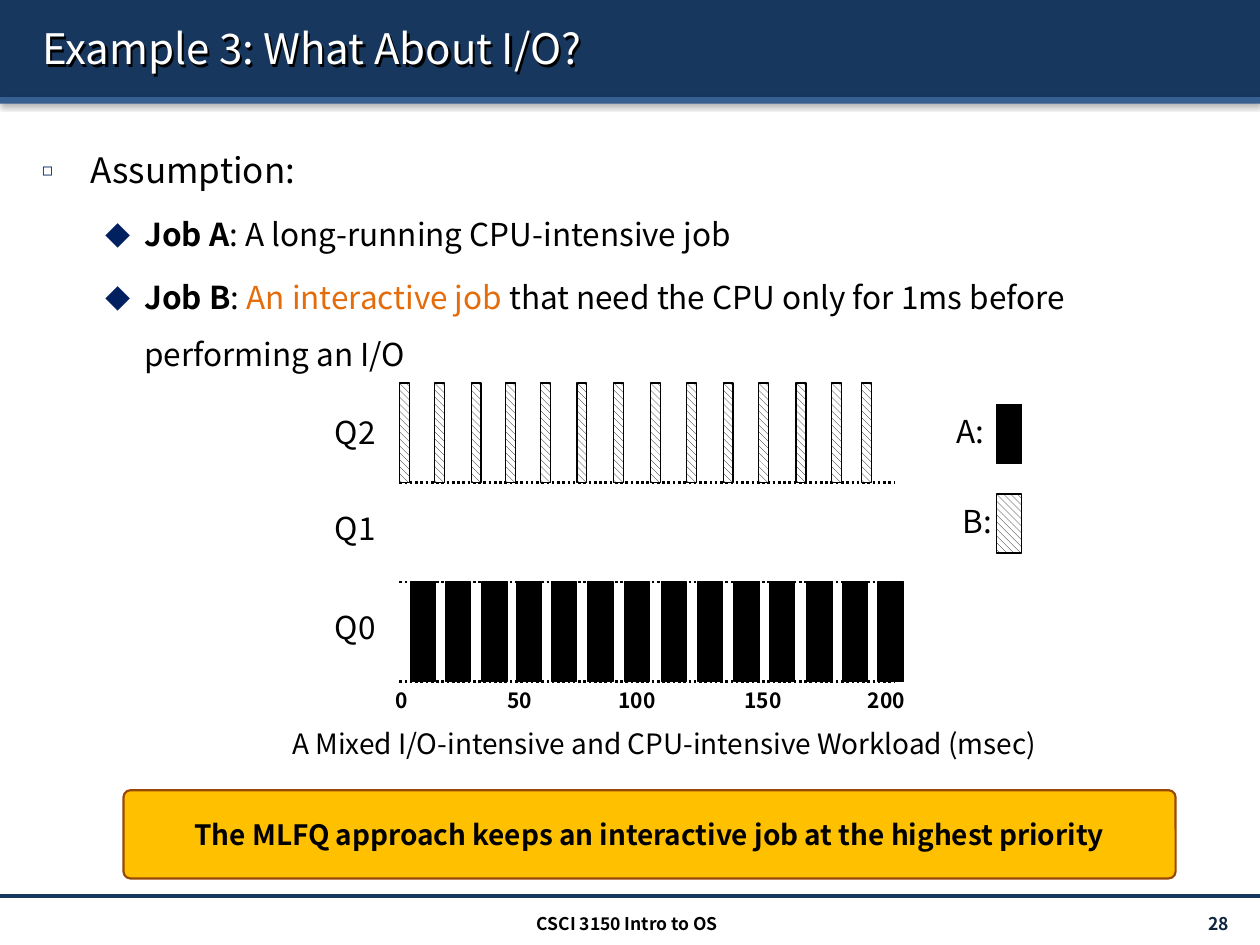
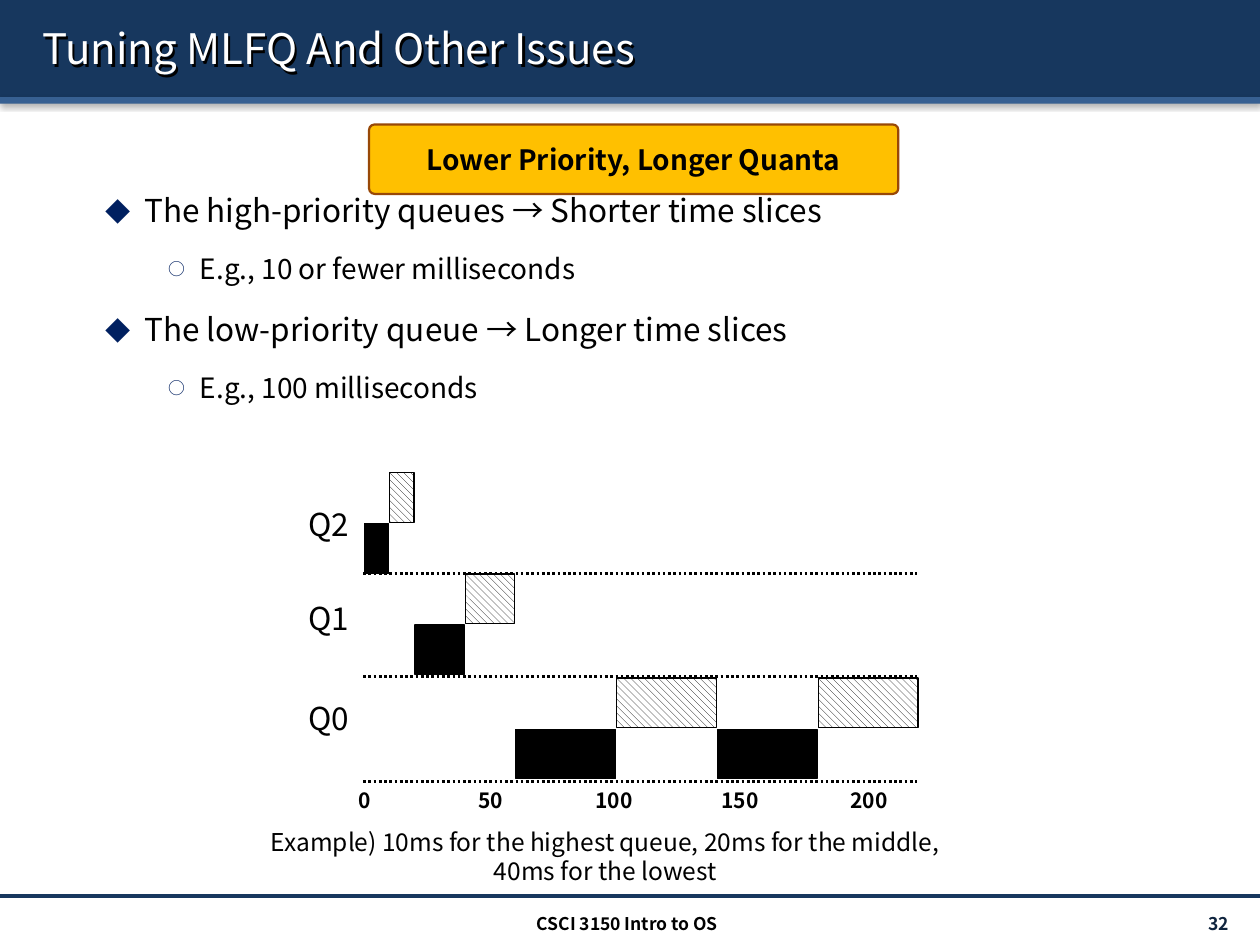
from dataclasses import dataclass

from lxml import etree
from pptx import Presentation
from pptx import util as u
from pptx.dml.color import RGBColor
from pptx.enum import dml, shapes, text
from pptx.oxml import ns


@dataclass(frozen=True)
class Theme:
    font: str = "Noto Sans CJK KR"
    navy: str = "17375E"
    blue: str = "376092"
    bullet: str = "002060"
    number: str = "0F243E"
    orange: str = "E46C0A"
    gold: str = "FFC000"
    brown: str = "984807"
    black: str = "000000"
    white: str = "FFFFFF"
    title_size: int = 24
    level_sizes: tuple = (20, 18, 16)
    label_size: int = 18
    banner_size: int = 16
    tick_size: int = 12
    footer_size: int = 10


theme = Theme()
rgb = RGBColor.from_string
align = text.PP_ALIGN
hatch = "hatch"
shadow_xml = (
    '<a:outerShdw xmlns:a="http://schemas.openxmlformats.org/drawingml/2006/main" '
    'blurRad="{}" dist="{}" dir="{}"><a:srgbClr val="000000">'
    '<a:alpha val="{}"/></a:srgbClr></a:outerShdw>'
)


def write(box, wording, size, color=theme.black, bold=False, side=align.CENTER, middle=False):
    frame = box.text_frame
    frame.text = wording
    frame.word_wrap = True
    frame.vertical_anchor = text.MSO_ANCHOR.MIDDLE if middle else text.MSO_ANCHOR.TOP
    for para in frame.paragraphs:
        para.alignment = side
        for span in para.runs:
            span.font.name = theme.font
            span.font.size = u.Pt(size)
            span.font.bold = bold
            span.font.color.rgb = rgb(color)


def add_block(page, bounds, fill, border=None, width=0.75, kind=shapes.MSO_SHAPE.RECTANGLE):
    block = page.shapes.add_shape(kind, *map(u.Cm, bounds))
    block.shadow.inherit = False
    if fill == hatch:
        block.fill.patterned()
        block.fill.pattern = dml.MSO_PATTERN.WIDE_DOWNWARD_DIAGONAL
        block.fill.fore_color.rgb = rgb(theme.black)
        block.fill.back_color.rgb = rgb(theme.white)
    else:
        block.fill.solid()
        block.fill.fore_color.rgb = rgb(fill)
    if border:
        block.line.color.rgb = rgb(border)
        block.line.width = u.Pt(width)
    else:
        block.line.fill.background()
    return block


bullets = [("◻", 50, 0.97, 0.97), ("◆", 80, 2.06, 0.79), ("○", 60, 3.18, 0.64)]
plain, strong, accent = (theme.black, False), (theme.black, True), (theme.orange, False)

mixed_b_starts = [8.05, 8.76, 9.5, 10.19, 10.9, 11.63, 12.37,
                  13.11, 13.84, 14.58, 15.29, 16.05, 16.76, 17.37]
mixed_a_starts = [start + 0.22 for start in mixed_b_starts[:-1]] + [17.7]
mixed_bars = [(start, 7.72, 0.2, 2.01, hatch) for start in mixed_b_starts]
mixed_bars += [(start, 11.73, 0.51, 2.01, theme.black) for start in mixed_a_starts]
mixed_bars += [(20.09, 8.15, 0.51, 1.19, theme.black), (20.09, 9.96, 0.51, 1.19, hatch)]

queue_tops = {"Q2": 9.53, "Q1": 11.57, "Q0": 13.67}
job_slices = [("Q2", "A", 0, 10), ("Q2", "B", 10, 10), ("Q1", "A", 20, 20), ("Q1", "B", 40, 20),
              ("Q0", "A", 60, 40), ("Q0", "B", 100, 40), ("Q0", "A", 140, 40), ("Q0", "B", 180, 40)]
cm_per_ms = 10.16 / 200
quanta_bars = [
    (7.35 + start * cm_per_ms, queue_tops[queue] + (1.03 if job == "A" else 0),
     length * cm_per_ms - 0.02, 1, theme.black if job == "A" else hatch)
    for queue, job, start, length in job_slices
]

slides = [
    dict(
        title="Example 3: What About I/O?", number="28", body_top=2.44,
        body=[
            (0, [("Assumption:", plain)]),
            (1, [("Job A", strong), (": A long-running CPU-intensive job", plain)]),
            (1, [("Job B", strong), (": ", plain), ("An interactive job ", accent),
                 ("that need the CPU only for 1ms before performing an I/O", plain)]),
        ],
        axis=(8.05, 18.04), axis_tops=[9.73, 11.73, 13.74],
        tick_centers=[8.09, 10.48, 12.84, 15.38, 17.87],
        labels=[("Q2", 6.07, 8.2), ("Q1", 6.07, 10.13), ("Q0", 6.07, 12.14),
                ("A:", 18.34, 8.18), ("B:", 18.5, 10)],
        bars=mixed_bars,
        caption="A Mixed I/O-intensive and CPU-intensive Workload (msec)",
        caption_at=(4.29, 14.53, 18.21, 0.94), caption_size=16,
        banner="The MLFQ approach keeps an interactive job at the highest priority",
        banner_at=(2.49, 15.93, 21.21, 1.78),
    ),
    dict(
        title="Tuning MLFQ And Other Issues", number="32", body_top=3.35,
        body=[
            (1, [("The high-priority queues → Shorter time slices", plain)]),
            (2, [("E.g., 10 or fewer milliseconds", plain)]),
            (1, [("The low-priority queue → Longer time slices", plain)]),
            (2, [("E.g., 100 milliseconds", plain)]),
        ],
        axis=(7.32, 18.49), axis_tops=[11.56, 13.64, 15.75],
        tick_centers=[7.35, 9.89, 12.38, 14.92, 17.52],
        labels=[("Q2", 5.54, 10.06), ("Q1", 5.54, 11.96), ("Q0", 5.54, 13.97)],
        bars=quanta_bars,
        caption="Example) 10ms for the highest queue, 20ms for the middle,\n40ms for the lowest",
        caption_at=(3.1, 16.54, 18.21, 1.45), caption_size=14,
        banner="Lower Priority, Longer Quanta",
        banner_at=(7.44, 2.51, 10.67, 1.4),
    ),
]

deck = Presentation()
deck.slide_width, deck.slide_height = u.Cm(25.4), u.Cm(19.05)

for slide in slides:
    page = deck.slides.add_slide(deck.slide_layouts[6])

    for top, height, color in [(0, 1.96, theme.navy), (1.96, 0.13, theme.blue)]:
        band = add_block(page, (0, top, 25.4, height), color)
        effects = band._element.spPr.find(ns.qn("a:effectLst"))
        effects.append(etree.fromstring(shadow_xml.format(39370, 20320, 5400000, 38000)))

    title = page.shapes.add_textbox(*map(u.Cm, (0.6, 0.15, 24.41, 1.63)))
    write(title, slide["title"], theme.title_size, theme.white, side=align.LEFT, middle=True)
    effects = etree.SubElement(title._element.spPr, ns.qn("a:effectLst"))
    effects.append(etree.fromstring(shadow_xml.format(0, 25400, 2700000, 100000)))

    body = page.shapes.add_textbox(*map(u.Cm, (0.6, slide["body_top"], 24.41, 6)))
    body.text_frame.word_wrap = True
    for index, (level, spans) in enumerate(slide["body"]):
        para = body.text_frame.add_paragraph() if index else body.text_frame.paragraphs[0]
        size = theme.level_sizes[level]
        para.level = level
        para.line_spacing = 1.5
        para.space_before = u.Pt(size * 0.2)
        symbol, percent, margin, hanging = bullets[level]
        props = para._p.get_or_add_pPr()
        props.set("marL", str(u.Cm(margin)))
        props.set("indent", str(-u.Cm(hanging)))
        bullet_color = etree.SubElement(props, ns.qn("a:buClr"))
        etree.SubElement(bullet_color, ns.qn("a:srgbClr"), val=theme.bullet)
        etree.SubElement(props, ns.qn("a:buSzPct"), val=str(percent * 1000))
        etree.SubElement(props, ns.qn("a:buFont"), typeface=theme.font)
        etree.SubElement(props, ns.qn("a:buChar"), char=symbol)
        for wording, (color, bold) in spans:
            span = para.add_run()
            span.text = wording
            span.font.name = theme.font
            span.font.size = u.Pt(size)
            span.font.bold = bold
            span.font.color.rgb = rgb(color)

    number = page.shapes.add_textbox(*map(u.Cm, (22.14, 18.31, 2.89, 0.61)))
    write(number, slide["number"], theme.footer_size, theme.number, True, align.RIGHT, True)
    footer = page.shapes.add_textbox(*map(u.Cm, (8.43, 18.29, 8.43, 0.61)))
    write(footer, "CSCI 3150 Intro to OS", theme.footer_size, bold=True)

    rules = [(0, 25.4, 18.06, theme.navy, 2, None)]
    rules += [(*slide["axis"], top, theme.black, 1.5, dml.MSO_LINE.ROUND_DOT)
              for top in slide["axis_tops"]]
    for left, right, top, color, width, dash in rules:
        ends = map(u.Cm, (left, top, right, top))
        rule = page.shapes.add_connector(shapes.MSO_CONNECTOR.STRAIGHT, *ends)
        rule.line.color.rgb = rgb(color)
        rule.line.width = u.Pt(width)
        if dash:
            rule.line.dash_style = dash
        etree.SubElement(rule._element.spPr, ns.qn("a:effectLst"))

    for *bounds, fill in slide["bars"]:
        add_block(page, bounds, fill, theme.black)

    for index, center in enumerate(slide["tick_centers"]):
        bounds = (center - 0.8, slide["axis_tops"][-1], 1.6, 0.76)
        tick = page.shapes.add_textbox(*map(u.Cm, bounds))
        write(tick, str(index * 50), theme.tick_size, bold=True)

    for wording, left, top in slide["labels"]:
        label = page.shapes.add_textbox(*map(u.Cm, (left, top, 1.75, 1.02)))
        write(label, wording, theme.label_size, side=align.RIGHT)

    caption = page.shapes.add_textbox(*map(u.Cm, slide["caption_at"]))
    write(caption, slide["caption"], slide["caption_size"])

    banner = add_block(page, slide["banner_at"], theme.gold, theme.brown, 1.25,
                       shapes.MSO_SHAPE.ROUNDED_RECTANGLE)
    banner.adjustments[0] = 0.08
    write(banner, slide["banner"], theme.banner_size, bold=True, middle=True)

deck.save("out.pptx")
